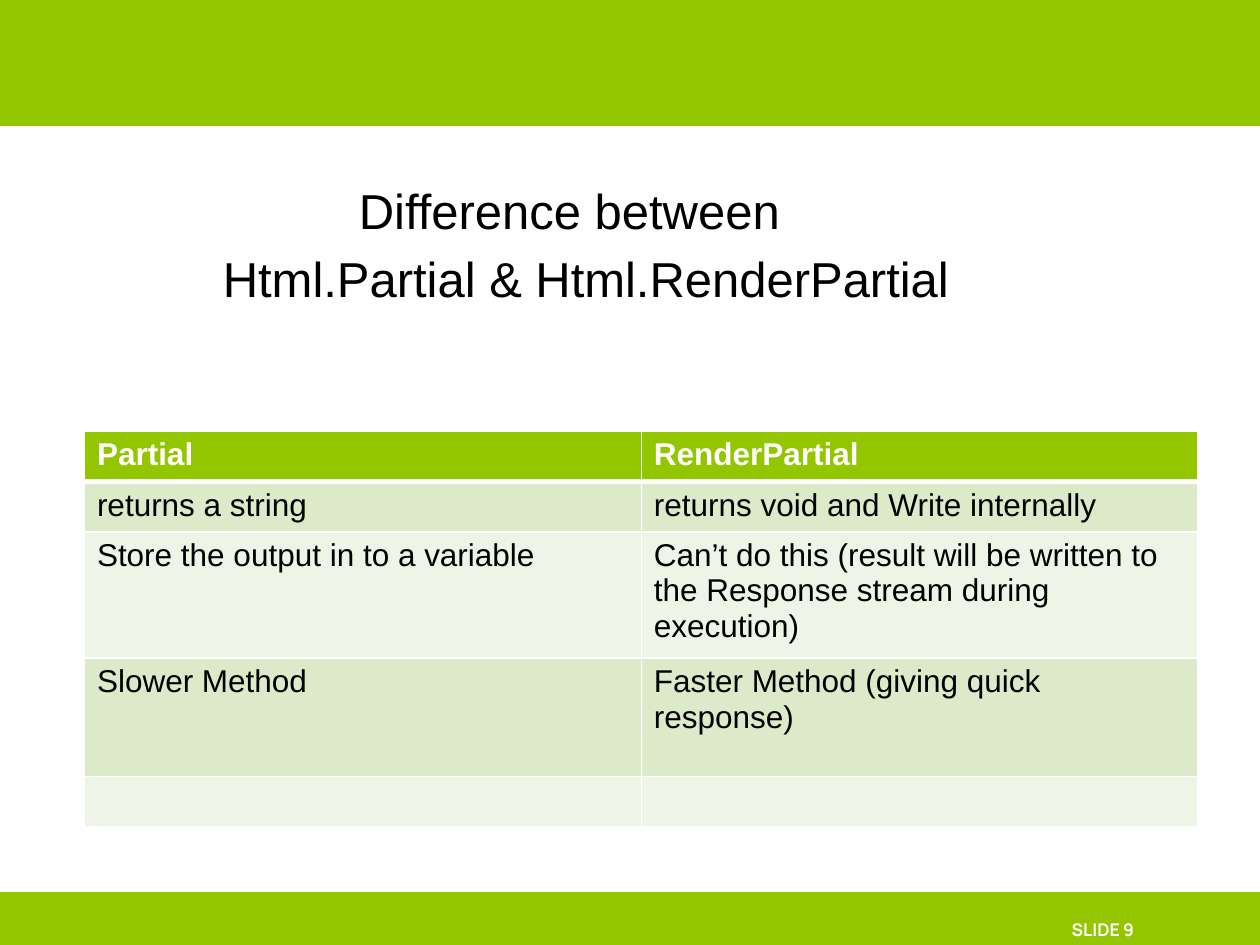
from lxml.etree import SubElement
from pptx import Presentation
from pptx.dml.color import RGBColor
from pptx.enum.shapes import MSO_SHAPE
from pptx.enum.text import MSO_ANCHOR, PP_ALIGN
from pptx.oxml.ns import qn
from pptx.util import Inches, Pt

GREEN = RGBColor(0x94, 0xC6, 0x00)
BAND_DARK = RGBColor(0xDC, 0xEA, 0xCA)
BAND_LIGHT = RGBColor(0xEE, 0xF5, 0xE6)
WHITE = RGBColor(0xFF, 0xFF, 0xFF)
BLACK = RGBColor(0x00, 0x00, 0x00)

COMPARISON = [
    ("Partial", "RenderPartial"),
    ("returns a string", "returns void and Write internally"),
    ("Store the output in to a variable",
     "Can’t do this (result will be written to the Response stream during execution)"),
    ("Slower Method", "Faster Method (giving quick response)"),
    ("", ""),
]
ROW_HEIGHTS = [0.38, 0.38, 0.94, 0.94, 0.37]


def style_runs(paragraph, size, color, bold=False, font_name="Arial"):
    """Format every run of a paragraph."""
    for run in paragraph.runs:
        run.font.size = Pt(size)
        run.font.name = font_name
        run.font.bold = bold
        run.font.color.rgb = color


def add_band(slide, left, top, width, height):
    """Draw a plain green band."""
    band = slide.shapes.add_shape(MSO_SHAPE.RECTANGLE, left, top, width, height)
    band.shadow.inherit = False
    band.fill.solid()
    band.fill.fore_color.rgb = GREEN
    band.line.fill.background()


def add_slide_number(slide, left, top, width, height):
    """Place the slide number at the right of its box."""
    frame = slide.shapes.add_textbox(left, top, width, height).text_frame
    frame.word_wrap = True
    frame.vertical_anchor = MSO_ANCHOR.MIDDLE
    frame.margin_right = frame.margin_top = frame.margin_bottom = 0
    number = frame.paragraphs[0]
    number.text = "SLIDE 9"
    number.alignment = PP_ALIGN.RIGHT
    style_runs(number, 10, WHITE, True, "Manrope")


def add_heading(slide, left, top, width, height):
    """Write the two heading lines, the first one indented."""
    frame = slide.shapes.add_textbox(left, top, width, height).text_frame
    frame.word_wrap = True
    frame.margin_top = Inches(0.1)
    frame.text = "Difference between\nHtml.Partial & Html.RenderPartial"
    for line in frame.paragraphs:
        style_runs(line, 28, BLACK)
    opening, methods = frame.paragraphs
    opening._p.get_or_add_pPr().set("marL", str(Inches(1.08)))
    methods.space_before = Pt(5.6)


def add_borders(cell, bottom_width):
    """Give a cell white borders."""
    properties = cell._tc.get_or_add_tcPr()
    widths = {"a:lnL": 1, "a:lnR": 1, "a:lnT": 1, "a:lnB": bottom_width}
    for tag, width in widths.items():
        border = SubElement(properties, qn(tag), w=str(Pt(width)))
        fill = SubElement(border, qn("a:solidFill"))
        SubElement(fill, qn("a:srgbClr"), val=str(WHITE))


def add_comparison(slide, left, top, width, height):
    """Build the comparison table with a header and banded rows."""
    table = slide.shapes.add_table(
        len(COMPARISON), 2, left, top, width, height).table
    for row_index, texts in enumerate(COMPARISON):
        table.rows[row_index].height = Inches(ROW_HEIGHTS[row_index])
        is_header = row_index == 0
        band_color = BAND_DARK if row_index % 2 else BAND_LIGHT
        for column_index, text in enumerate(texts):
            cell = table.cell(row_index, column_index)
            cell.text = text
            add_borders(cell, 3 if is_header else 1)
            cell.fill.solid()
            cell.fill.fore_color.rgb = GREEN if is_header else band_color
            style_runs(cell.text_frame.paragraphs[0], 18,
                       WHITE if is_header else BLACK, is_header)


def main():
    """Build and save the slide."""
    deck = Presentation()
    deck.slide_width, deck.slide_height = Inches(10), Inches(7.5)
    slide = deck.slides.add_slide(deck.slide_layouts[6])
    add_band(slide, 0, 0, deck.slide_width, Inches(1))
    add_band(slide, 0, Inches(7.08), deck.slide_width, Inches(0.42))
    add_slide_number(slide, Inches(7.42), Inches(7.26), Inches(1.58), Inches(0.24))
    add_heading(slide, Inches(1.67), Inches(1.33), Inches(6.75), Inches(1.5))
    add_comparison(slide, Inches(0.67), Inches(3.42), Inches(8.84),
                   Inches(sum(ROW_HEIGHTS)))
    deck.save("out.pptx")


if __name__ == "__main__":
    main()
